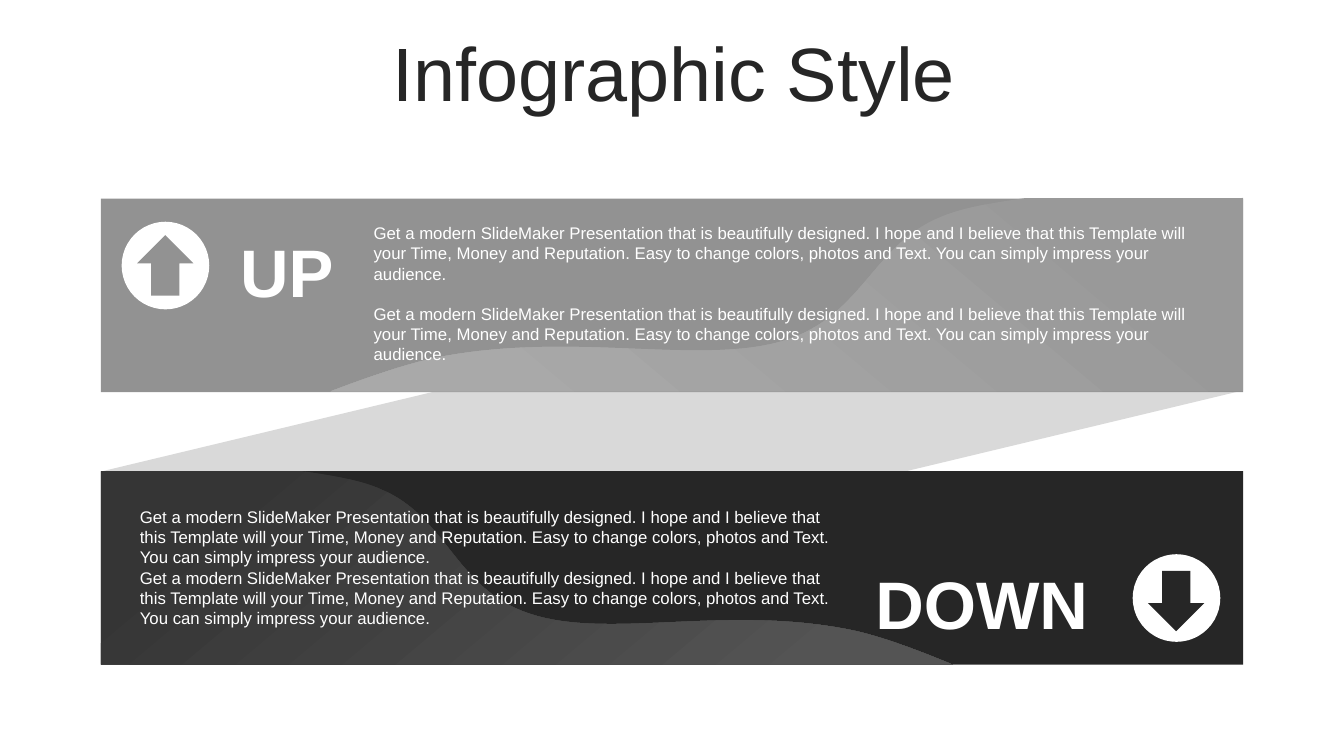
from lxml.etree import SubElement
from pptx import Presentation
from pptx.dml.color import RGBColor
from pptx.enum.shapes import MSO_SHAPE as Shape
from pptx.enum.text import MSO_ANCHOR as Anchor, PP_ALIGN as Align
from pptx.oxml.ns import qn
from pptx.util import Pt

WHITE = RGBColor(0xFF, 0xFF, 0xFF)
DARK = RGBColor(0x26, 0x26, 0x26)
GRAY = RGBColor(0x92, 0x92, 0x92)
PALE = RGBColor(0xD9, 0xD9, 0xD9)
GRAY_WAVE = RGBColor(0x99, 0x99, 0x99), RGBColor(0xA9, 0xA9, 0xA9)
DARK_WAVE = RGBColor(0x35, 0x35, 0x35), RGBColor(0x54, 0x54, 0x54)

BODY = (
    "Get a modern SlideMaker Presentation that is beautifully designed. "
    "I hope and I believe that this Template will your Time, Money and "
    "Reputation. Easy to change colors, photos and Text. "
    "You can simply impress your audience."
)
LEFT, WIDTH, HEIGHT = 72, 816, 138.24

TITLE_FONT = {"name": "Arial", "size": Pt(54), "bold": False}
LABEL_FONT = {"name": "Arial", "size": Pt(48), "bold": True}
BODY_FONT = {"name": "Arial", "size": Pt(12), "bold": False}

# Corners are plain points; each curve row is two control points and an end point.
BANNERS = [
    {
        "label": "UP", "top": 141.84, "color": GRAY, "wave_colors": GRAY_WAVE,
        "wave_angle": 230, "arrow": Shape.UP_ARROW,
        "corners": [(733.7, 141.3), (888, 141.3), (888, 279.5), (236.2, 279.5)],
        "curves": [
            (265, 268.6), (292.3, 259.2), (314.6, 254.9),
            (409, 236.9), (497.5, 260.6), (557.3, 244.1),
            (616.3, 227.5), (622.1, 175), (672.5, 154.8),
            (687.6, 148.3), (709.9, 144.7), (733.7, 141.3),
        ],
        "label_box": (160.2, 163.44, 89.28, 58.32),
        "circle": (86.9, 158.4), "arrow_at": (97.9, 168),
        "body_box": (259.8, 155.8, 601.2, 108), "body_gap": 14.2,
    },
    {
        "label": "DOWN", "top": 336.5, "color": DARK, "wave_colors": DARK_WAVE,
        "wave_angle": 310, "arrow": Shape.DOWN_ARROW,
        "corners": [(216, 336.6), (72, 336.6), (72, 474.7), (680.4, 474.7)],
        "curves": [
            (653.8, 463.7), (628.6, 454.3), (607.7, 450),
            (519.1, 432), (437, 456.5), (380.9, 439.2),
            (325.4, 422.6), (320.4, 370.1), (272.9, 349.9),
            (259.2, 343.4), (238.3, 339.8), (216, 336.6),
        ],
        "label_box": (599.04, 401.04, 204.48, 58.32),
        "circle": (809.1, 395.9), "arrow_at": (820, 407.7),
        "body_box": (92.8, 358.4, 516.96, 94.3), "body_gap": 0,
    },
]


def add_filled_shape(kind, left, top, width, height, color):
    shape = slide.shapes.add_shape(kind, Pt(left), Pt(top), Pt(width), Pt(height))
    shape.shadow.inherit = False
    shape.fill.solid()
    shape.fill.fore_color.rgb = color
    shape.line.fill.background()
    return shape


def write_paragraph(para, text, font_values, color, align):
    para.alignment = align
    span = para.add_run()
    span.text = text
    for name, value in font_values.items():
        setattr(span.font, name, value)
    span.font.color.rgb = color


deck = Presentation()
deck.slide_width, deck.slide_height = Pt(960), Pt(540)
slide = deck.slides.add_slide(deck.slide_layouts[5])

title = slide.shapes.title
title.left, title.top, title.width, title.height = Pt(25.5), Pt(26.64), Pt(911.5), Pt(56.9)
title.text_frame.vertical_anchor = Anchor.MIDDLE
title_para = title.text_frame.paragraphs[0]
title_para.line_spacing = 0.9
write_paragraph(title_para, "Infographic Style", TITLE_FONT, DARK, Align.CENTER)

ribbon = add_filled_shape(Shape.PARALLELOGRAM, 313.2, -100.1, 333.4, WIDTH, PALE)
ribbon.adjustments[0] = 0.587
ribbon.rotation = 270
ribbon._element.spPr.find(qn("a:xfrm")).set("flipH", "1")

for banner in BANNERS:
    color = banner["color"]
    add_filled_shape(Shape.RECTANGLE, LEFT, banner["top"], WIDTH, HEIGHT, color)

    outline = [(Pt(x), Pt(y)) for x, y in banner["corners"] + banner["curves"]]
    builder = slide.shapes.build_freeform(*outline[0])
    builder.add_line_segments(outline[1:], close=True)
    wave = builder.convert_to_shape()

    # Join each three line points after the corners into one Bézier curve.
    segments = list(wave._element.spPr.iter(qn("a:lnTo")))
    curve_segments = segments[len(banner["corners"]) - 1:]
    for start in range(0, len(curve_segments), 3):
        trio = curve_segments[start:start + 3]
        outline_element = trio[0].getparent()
        curve = SubElement(outline_element, qn("a:cubicBezTo"))
        trio[0].addprevious(curve)
        for segment in trio:
            curve.append(segment[0])
            outline_element.remove(segment)

    wave.shadow.inherit = False
    wave.line.fill.background()
    wave.fill.gradient()
    wave.fill.gradient_angle = banner["wave_angle"]
    stops = zip(wave.fill.gradient_stops, (0.14, 0.88), banner["wave_colors"])
    for stop, position, stop_color in stops:
        stop.position = position
        stop.color.rgb = stop_color

    label = slide.shapes.add_textbox(*map(Pt, banner["label_box"])).text_frame
    label_format = {
        "word_wrap": True, "vertical_anchor": Anchor.BOTTOM,
        "margin_left": 0, "margin_right": 0, "margin_top": 0, "margin_bottom": 0,
    }
    for name, value in label_format.items():
        setattr(label, name, value)
    write_paragraph(label.paragraphs[0], banner["label"], LABEL_FONT, WHITE, Align.CENTER)

    add_filled_shape(Shape.OVAL, *banner["circle"], 62.6, 62.6, WHITE)
    add_filled_shape(banner["arrow"], *banner["arrow_at"], 40.3, 43.2, color)

    body = slide.shapes.add_textbox(*map(Pt, banner["body_box"])).text_frame
    body.word_wrap = True
    write_paragraph(body.paragraphs[0], BODY, BODY_FONT, WHITE, Align.LEFT)
    second_para = body.add_paragraph()
    second_para.space_before = Pt(banner["body_gap"])
    write_paragraph(second_para, BODY, BODY_FONT, WHITE, Align.LEFT)

deck.save("out.pptx")
